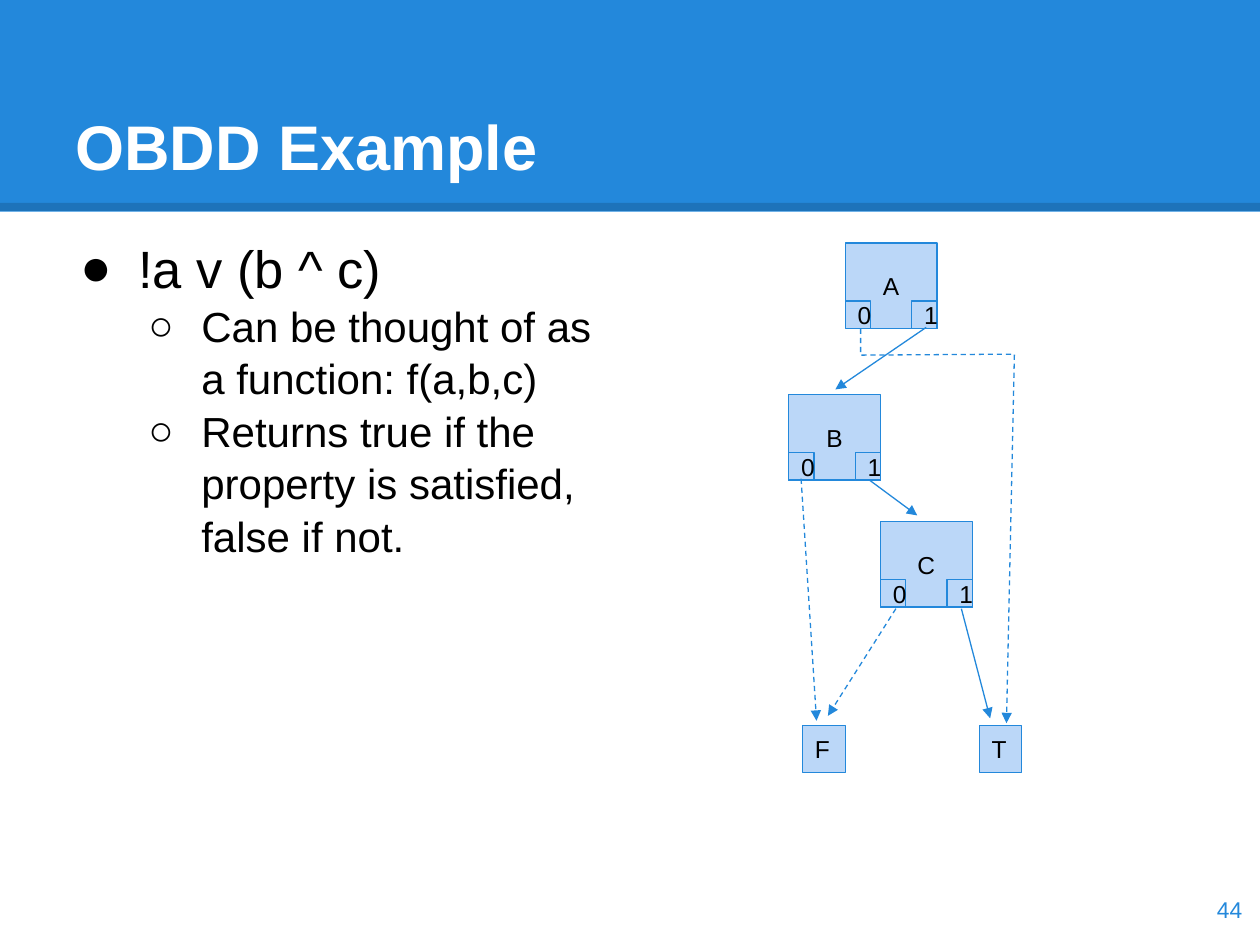
from dataclasses import dataclass

from lxml.etree import SubElement
from pptx import Presentation
from pptx.dml.color import RGBColor
from pptx.enum.dml import MSO_LINE
from pptx.enum.shapes import MSO_CONNECTOR, MSO_SHAPE
from pptx.enum.text import MSO_ANCHOR, PP_ALIGN
from pptx.oxml.ns import qn
from pptx.util import Cm, Pt


@dataclass(frozen=True)
class Theme:
    accent: RGBColor = RGBColor.from_string("2388DB")
    node: RGBColor = RGBColor.from_string("BBD7F8")
    ink: RGBColor = RGBColor.from_string("000000")
    paper: RGBColor = RGBColor.from_string("FFFFFF")
    font: str = "Arial"
    title: int = 36
    point: int = 30
    subpoint: int = 24
    label: int = 14
    number: int = 13


THEME = Theme()
POINTS = [
    (0, "!a v (b ^ c)"),
    (1, "Can be thought of as a function: f(a,b,c)"),
    (1, "Returns true if the property is satisfied, false if not."),
]
LEVELS = [
    {"bullet": "●", "size": THEME.point, "left": 1.27, "hanging": 1.17},
    {"bullet": "○", "size": THEME.subpoint, "left": 2.54, "hanging": 1.07},
]
DECISIONS = {"A": (1.14, 0), "B": (0, 3.05), "C": (1.85, 5.61)}
OUTCOMES = {"T": (3.84, 9.73), "F": (0.28, 9.73)}
DECISION_SIZE = (1.85, 1.73)
BRANCH_SIZE = (0.51, 0.56)
OUTCOME_SIZE = (0.86, 0.94)
FALSE_DETOUR = [(1.45, 1.73), (1.45, 2.26), (4.55, 2.24), (4.39, 9.68)]
TRUE_EDGES = [
    ((2.77, 1.7), (0.94, 2.95)),
    ((1.63, 4.78), (2.59, 5.49)),
    ((3.48, 7.37), (4.06, 9.58)),
]
FALSE_EDGES = [
    ((0.25, 4.75), (0.56, 9.63)),
    ((2.16, 7.37), (0.79, 9.53)),
]


def apply(target, formats):
    for name, value in formats.items():
        setattr(target, name, value)


def set_frame(frame, anchor):
    inset = Cm(0.25)
    apply(frame, {
        "word_wrap": True, "vertical_anchor": anchor,
        "margin_left": inset, "margin_right": inset,
        "margin_top": inset, "margin_bottom": inset,
    })


def write(paragraph, text, size, color, bold=False, align=PP_ALIGN.LEFT):
    paragraph.text = text
    paragraph.alignment = align
    font = paragraph.runs[0].font
    apply(font, {"name": THEME.font, "size": Pt(size), "bold": bold})
    font.color.rgb = color


def add_text(slide, box, text, size, color, anchor, **style):
    frame = slide.shapes.add_textbox(*map(Cm, box)).text_frame
    set_frame(frame, anchor)
    write(frame.paragraphs[0], text, size, color, **style)


def add_rectangle(slide, box, fill):
    rectangle = slide.shapes.add_shape(MSO_SHAPE.RECTANGLE, *map(Cm, box))
    rectangle.shadow.inherit = False
    rectangle.fill.solid()
    rectangle.fill.fore_color.rgb = fill
    return rectangle


def add_line(slide, start, end):
    line = slide.shapes.add_connector(
        MSO_CONNECTOR.STRAIGHT, *map(Cm, (*start, *end)))
    SubElement(line._element.spPr, qn("a:effectLst"))
    return line


def add_header(slide, box):
    left, top, width, height = box
    add_rectangle(slide, box, THEME.accent).line.fill.background()
    rule_y = top + height - 0.1
    rule = add_line(slide, (left, rule_y), (left + width, rule_y))
    rule.line.width = Pt(4.5)
    rule.line.color.rgb = THEME.ink
    color = rule.line._ln.find(qn("a:solidFill"))[0]
    SubElement(color, qn("a:alpha"), val="15000")
    add_text(slide, (left + 1.27, top + 0.76, width - 2.54, 3.18), "OBDD Example",
             THEME.title, THEME.paper, MSO_ANCHOR.BOTTOM, bold=True)


def add_points(slide, box):
    frame = slide.shapes.add_textbox(*map(Cm, box)).text_frame
    set_frame(frame, MSO_ANCHOR.TOP)
    for index, (depth, text) in enumerate(POINTS):
        paragraph = frame.add_paragraph() if index else frame.paragraphs[0]
        level = LEVELS[depth]
        write(paragraph, text, level["size"], THEME.ink)
        apply(paragraph, {"level": depth, "line_spacing": 1.04})
        properties = paragraph._p.get_or_add_pPr()
        properties.set("marL", str(Cm(level["left"])))
        properties.set("indent", str(-Cm(level["hanging"])))
        SubElement(properties, qn("a:buFont"), typeface=THEME.font)
        SubElement(properties, qn("a:buChar"), char=level["bullet"])


def add_node(slide, box, text, align=PP_ALIGN.LEFT):
    node = add_rectangle(slide, box, THEME.node)
    node.line.color.rgb = THEME.accent
    node.line.width = Pt(0.75)
    set_frame(node.text_frame, MSO_ANCHOR.MIDDLE)
    write(node.text_frame.paragraphs[0], text, THEME.label, THEME.ink, align=align)


def add_decision(slide, box, text):
    left, top, width, height = box
    branch_width, branch_height = BRANCH_SIZE
    add_node(slide, box, text, PP_ALIGN.CENTER)
    for branch, x in (("0", left), ("1", left + width - branch_width)):
        add_node(slide, (x, top + height - branch_height, *BRANCH_SIZE), branch)


def style_edge(edge, dashed):
    edge.line.color.rgb = THEME.accent
    edge.line.width = Pt(0.75)
    if dashed:
        edge.line.dash_style = MSO_LINE.DASH
    SubElement(edge.line._ln, qn("a:tailEnd"), type="triangle")


def add_diagram(slide, box):
    left, top = box[:2]

    def place(point):
        return left + point[0], top + point[1]

    for name, corner in DECISIONS.items():
        add_decision(slide, (*place(corner), *DECISION_SIZE), name)
    for name, corner in OUTCOMES.items():
        add_node(slide, (*place(corner), *OUTCOME_SIZE), name)

    start, *bends = [tuple(map(Cm, place(point))) for point in FALSE_DETOUR]
    builder = slide.shapes.build_freeform(*start)
    builder.add_line_segments(bends, close=False)
    detour = builder.convert_to_shape()
    detour.shadow.inherit = False
    detour.fill.background()
    style_edge(detour, True)

    for edges, dashed in ((TRUE_EDGES, False), (FALSE_EDGES, True)):
        for tail, head in edges:
            style_edge(add_line(slide, place(tail), place(head)), dashed)


def add_page_number(slide, box):
    add_text(slide, box, "44", THEME.number, THEME.accent,
             MSO_ANCHOR.MIDDLE, align=PP_ALIGN.RIGHT)


def main():
    deck = Presentation()
    apply(deck, {"slide_width": Cm(25.4), "slide_height": Cm(19.05)})
    slide = deck.slides.add_slide(deck.slide_layouts[6])
    add_header(slide, (0, 0, 25.4, 4.27))
    add_points(slide, (1.27, 4.45, 11.1, 13.79))
    add_diagram(slide, (15.9, 4.9, 4.7, 10.67))
    add_page_number(slide, (23.77, 17.6, 1.52, 1.45))
    deck.save("out.pptx")


if __name__ == "__main__":
    main()
